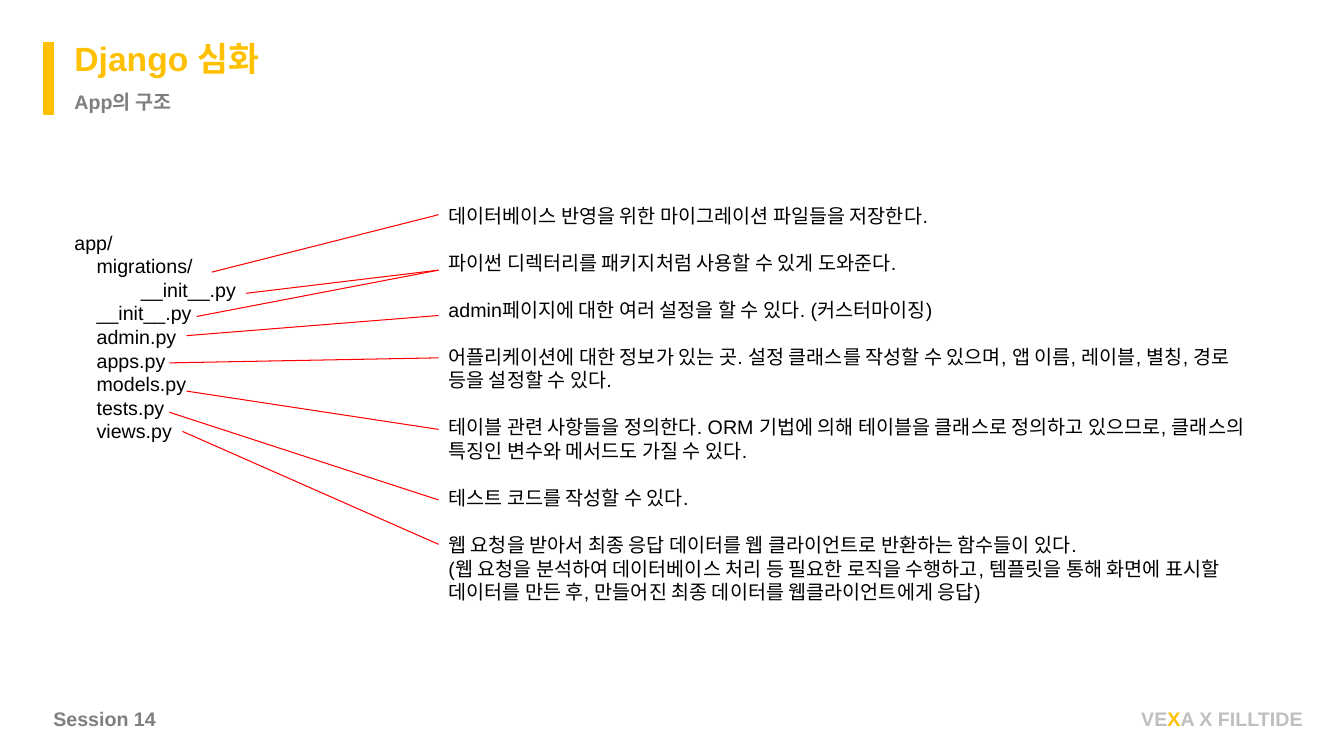
from dataclasses import dataclass
from pptx import Presentation
from pptx.dml.color import RGBColor as RGB
from pptx.enum.shapes import MSO_CONNECTOR as Link, MSO_SHAPE as Form
from pptx.oxml.ns import qn
from pptx.util import Inches, Pt
from lxml.etree import SubElement as sub


@dataclass(frozen=True)
class Theme:
    """Colours, font and type sizes of the slide."""
    gold: str = "FFC000"
    gray: str = "7F7F7F"
    pale: str = "BFBFBF"
    ink: str = "000000"
    red: str = "FF0000"
    font: str = "Arial"
    head: int = 24
    body: int = 14


def write(para, text, font, size, color, bold=False):
    """Add one formatted run to a paragraph."""
    run = para.add_run()
    run.text = text
    face = run.font
    face.name, face.size, face.bold = font, Pt(size), bold
    face.color.rgb = RGB.from_string(color)


class Board:
    """Holds the style and the current slide."""

    def __init__(self, slide, theme):
        """Keep the slide and its theme."""
        self.slide, self.theme = slide, theme

    def text(self, box, paras, size=None, color=None, bold=False, gap=0, steps=(), wrap=True):
        """Place a text box; each paragraph is a list of (text, colour) runs or a string."""
        look = self.theme
        frame = self.slide.shapes.add_textbox(*map(Inches, box)).text_frame
        frame.word_wrap = wrap
        for i, runs in enumerate(paras):
            para = frame.add_paragraph() if i else frame.paragraphs[0]
            if i and gap:
                para.space_before = Pt(gap)
            if steps:
                para._p.get_or_add_pPr().set("marL", str(Inches(0.22 * steps[i])))
            if isinstance(runs, str):
                runs = [(runs, color or look.ink)]
            for words, tint in runs:
                for j, line in enumerate(words.split("\n")):
                    if j:
                        para.add_line_break()
                    write(para, line, look.font, size or look.body, tint, bold)

    def line(self, start, end):
        """Draw a thin red line between two points."""
        link = self.slide.shapes.add_connector(Link.STRAIGHT, *map(Inches, start + end))
        link.line.color.rgb = RGB.from_string(self.theme.red)
        link.line.width = Pt(0.75)
        sub(link._element.spPr, qn("a:effectLst"))

    def bar(self, box):
        """Draw the solid accent bar."""
        bar = self.slide.shapes.add_shape(Form.RECTANGLE, *map(Inches, box))
        bar.shadow.inherit = False
        bar.fill.solid()
        bar.fill.fore_color.rgb = bar.line.color.rgb = RGB.from_string(self.theme.gold)
        bar.line.width = Pt(1)


NOTES = [
    "데이터베이스 반영을 위한 마이그레이션 파일들을 저장한다.",
    "파이썬 디렉터리를 패키지처럼 사용할 수 있게 도와준다.",
    "admin페이지에 대한 여러 설정을 할 수 있다. (커스터마이징)",
    "어플리케이션에 대한 정보가 있는 곳. 설정 클래스를 작성할 수 있으며, "
    "앱 이름, 레이블, 별칭, 경로 등을 설정할 수 있다.",
    "테이블 관련 사항들을 정의한다. ORM 기법에 의해 테이블을 클래스로 정의하고 있으므로, "
    "클래스의 특징인 변수와 메서드도 가질 수 있다.",
    "테스트 코드를 작성할 수 있다.",
    "웹 요청을 받아서 최종 응답 데이터를 웹 클라이언트로 반환하는 함수들이 있다.\n"
    "(웹 요청을 분석하여 데이터베이스 처리 등 필요한 로직을 수행하고, "
    "템플릿을 통해 화면에 표시할 데이터를 만든 후, "
    "만들어진 최종 데이터를 웹클라이언트에게 응답)",
]
TREE = [
    ("app/", 0), ("migrations/", 1), ("__init__.py", 3), ("__init__.py", 1),
    ("admin.py", 1), ("apps.py", 1), ("models.py", 1), ("tests.py", 1), ("views.py", 1),
]
LINKS = [
    (2.1, 2.7, 2.13), (2.44, 2.91, 2.68), (1.95, 3.14, 2.68), (1.85, 3.33, 3.13),
    (1.68, 3.6, 3.55), (1.81, 4.28, 5.4), (1.85, 3.88, 4.26), (1.68, 4.09, 4.96),
]


def main():
    """Build and save the slide."""
    deck = Presentation()
    deck.slide_width, deck.slide_height = Inches(13.33), Inches(7.5)
    look = Theme()
    board = Board(deck.slides.add_slide(deck.slide_layouts[6]), look)
    board.text((0.43, 6.96, 1.25, 0.34), ["Session 14"], color=look.gray, bold=True)
    mark = [("VE", look.pale), ("X", look.gold), ("A X FILLTIDE", look.pale)]
    board.text((11.22, 6.96, 1.88, 0.34), [mark], bold=True, wrap=False)
    board.text((4.35, 1.97, 8.2, 4.58), NOTES, gap=16.8)
    names, steps = zip(*TREE)
    board.text((0.64, 2.24, 1.8, 2.22), names, steps=steps)
    for left, top, end in LINKS:
        board.line((left, top), (4.35, end))
    board.bar((0.43, 0.42, 0.1, 0.71))
    board.text((0.64, 0.33, 2.35, 0.5), ["Django 심화"], look.head, look.gold, True)
    board.text((0.64, 0.84, 1.8, 0.34), ["App의 구조"], color=look.gray, bold=True)
    deck.save("out.pptx")


if __name__ == "__main__":
    main()
